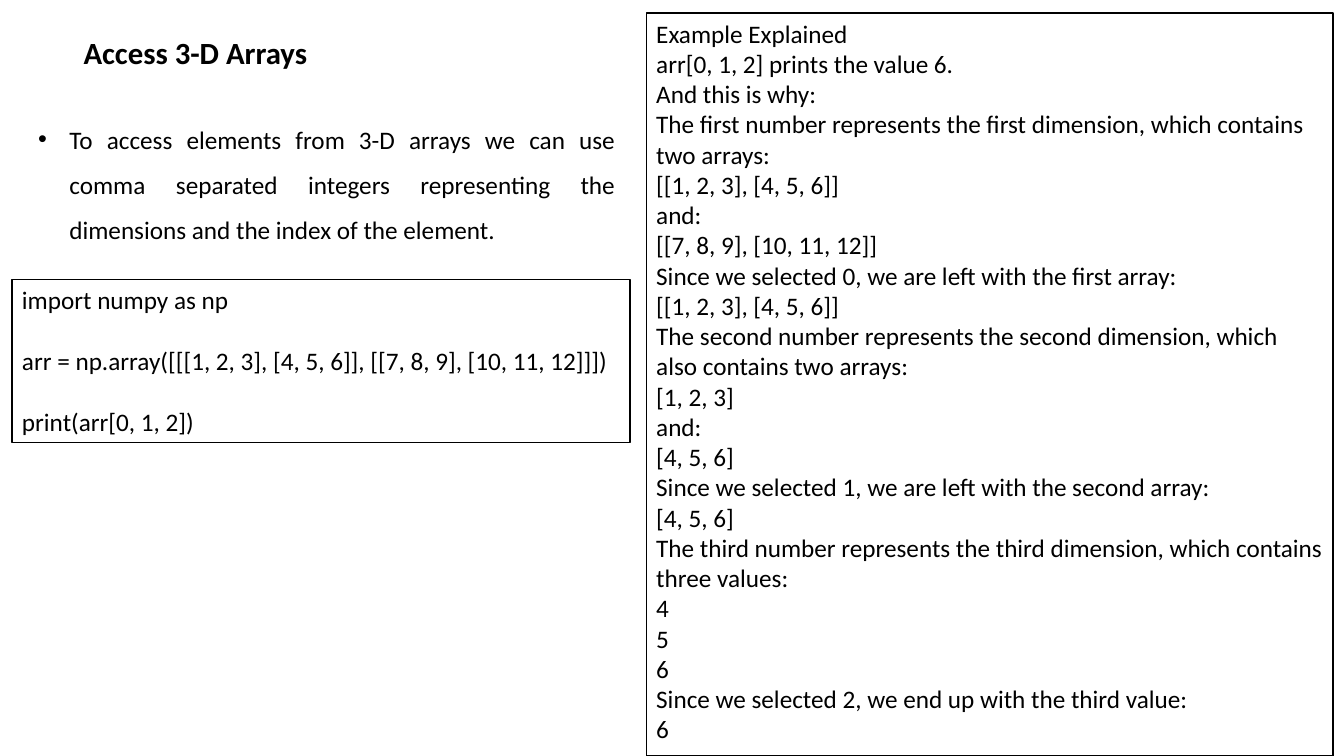
"""Build a slide explaining how to access elements of 3-D arrays."""
import pptx
import pptx.dml.color
import pptx.enum.shapes
import pptx.enum.text
import pptx.util
from lxml import etree
from pptx.oxml.ns import qn

Inches, Pt = pptx.util.Inches, pptx.util.Pt
BLACK = pptx.dml.color.RGBColor(0, 0, 0)
WHITE = pptx.dml.color.RGBColor(255, 255, 255)
ALIGN = pptx.enum.text.PP_ALIGN
FONT = {"name": "Calibri", "size": Pt(18), "bold": False}

TITLE = ["Access 3-D Arrays"]
SUMMARY = [
    "To access elements from 3-D arrays we can use comma separated integers "
    "representing the dimensions and the index of the element.",
]
CODE = [
    "import numpy as np",
    "arr = np.array([[[1, 2, 3], [4, 5, 6]], [[7, 8, 9], [10, 11, 12]]])",
    "print(arr[0, 1, 2])",
]
EXPLANATION = [
    "Example Explained",
    "arr[0, 1, 2] prints the value 6.",
    "And this is why:",
    "The first number represents the first dimension, which contains two arrays:",
    "[[1, 2, 3], [4, 5, 6]]",
    "and:",
    "[[7, 8, 9], [10, 11, 12]]",
    "Since we selected 0, we are left with the first array:",
    "[[1, 2, 3], [4, 5, 6]]",
    "The second number represents the second dimension, which also contains two arrays:",
    "[1, 2, 3]",
    "and:",
    "[4, 5, 6]",
    "Since we selected 1, we are left with the second array:",
    "[4, 5, 6]",
    "The third number represents the third dimension, which contains three values:",
    "4",
    "5",
    "6",
    "Since we selected 2, we end up with the third value:",
    "6",
]


def write(sp, lines, wrap=True, gap=0, align=ALIGN.LEFT, **font):
    """Fill a shape with one paragraph per line."""
    tf = sp.text_frame
    tf.word_wrap = wrap
    tf.vertical_anchor = pptx.enum.text.MSO_ANCHOR.TOP
    for i, line in enumerate(lines):
        p = tf.paragraphs[0] if i == 0 else tf.add_paragraph()
        p.alignment = align
        if i and gap:
            p.space_before = Pt(gap)
        r = p.add_run()
        r.text = line
        for key, value in {**FONT, **font}.items():
            setattr(r.font, key, value)
        r.font.color.rgb = BLACK
    return tf


def add_text(s, box):
    """Add a plain text box."""
    return s.shapes.add_textbox(*map(Inches, box))


def add_panel(s, box):
    """Add a white rectangle with a thin black outline."""
    sp = s.shapes.add_shape(pptx.enum.shapes.MSO_SHAPE.RECTANGLE, *map(Inches, box))
    sp.shadow.inherit = False
    sp.fill.solid()
    sp.fill.fore_color.rgb = WHITE
    sp.line.color.rgb = BLACK
    sp.line.width = Pt(1)
    return sp


def add_bullet(p, indent):
    """Give a paragraph a hanging round bullet."""
    pPr = p._p.get_or_add_pPr()
    pPr.set("marL", str(Inches(indent)))
    pPr.set("indent", str(-Inches(indent)))
    etree.SubElement(pPr, qn("a:buFont"), typeface="Arial")
    etree.SubElement(pPr, qn("a:buChar"), char="•")


def main():
    """Create and save the slide."""
    prs = pptx.Presentation()
    prs.slide_width, prs.slide_height = Inches(13.33), Inches(7.5)
    s = prs.slides.add_slide(prs.slide_layouts[6])

    write(add_text(s, (0.73, 0.29, 2.45, 0.47)), TITLE, wrap=False, size=Pt(22), bold=True)
    tf = write(add_text(s, (0.28, 1.03, 5.92, 1.46)), SUMMARY, align=ALIGN.JUSTIFY)
    add_bullet(tf.paragraphs[0], 0.31)
    tf.paragraphs[0].line_spacing = 1.5
    write(add_panel(s, (0.12, 2.77, 6.13, 1.62)), CODE, gap=22)
    write(add_panel(s, (6.41, 0.13, 6.81, 7.37)), EXPLANATION)

    prs.save("out.pptx")


if __name__ == "__main__":
    main()
